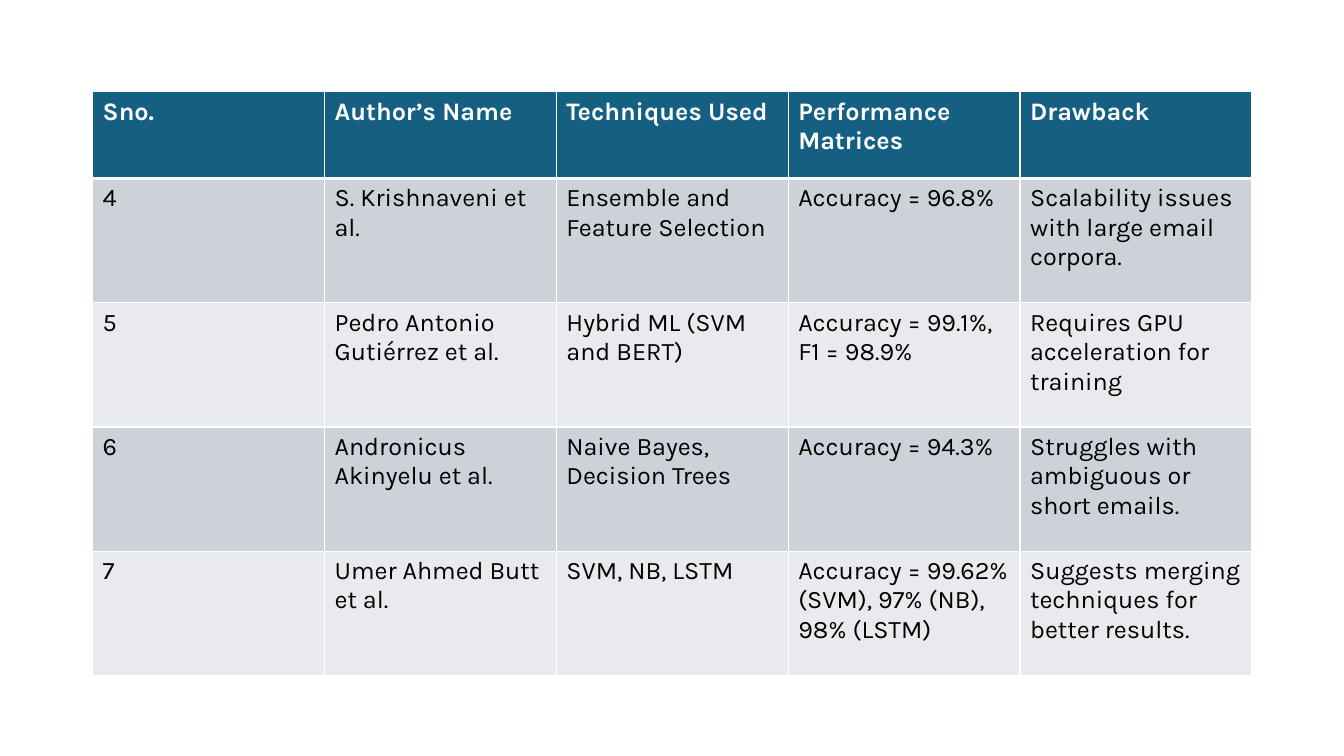
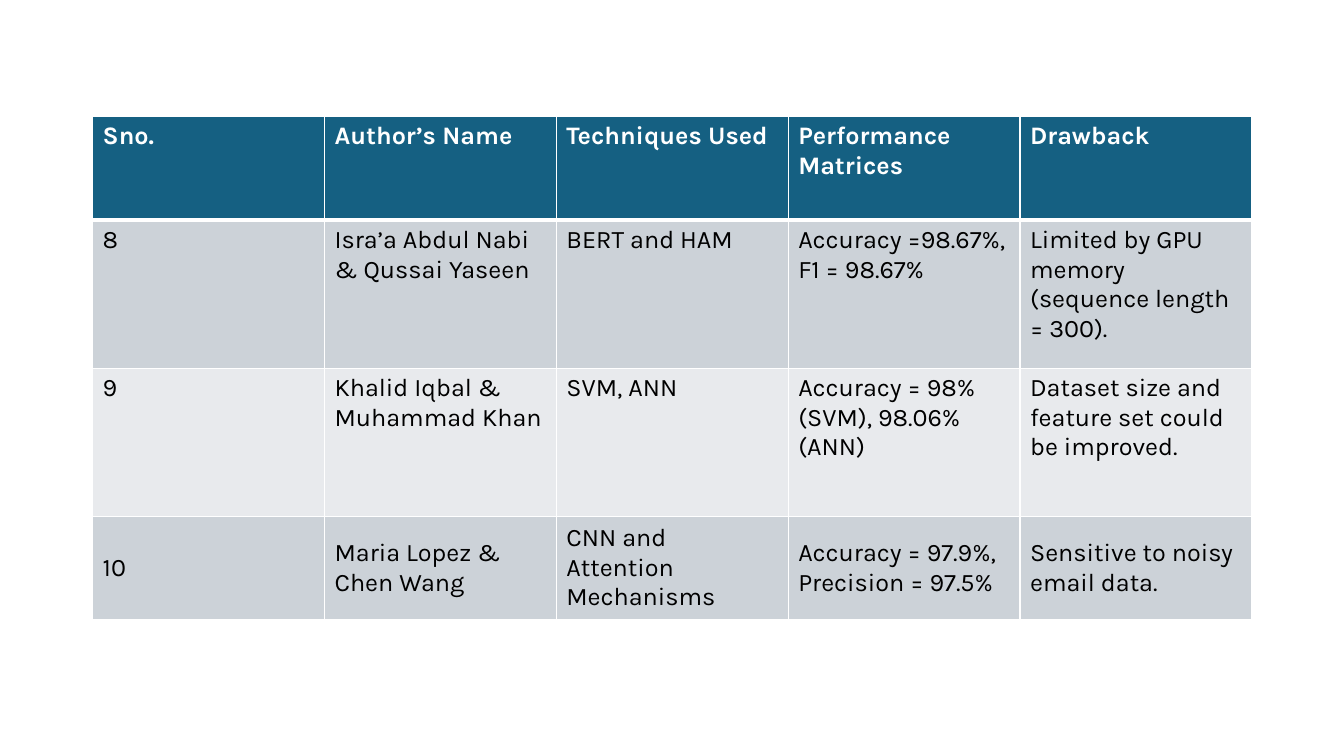
from lxml.etree import SubElement
from pptx import Presentation
from pptx.dml.color import RGBColor
from pptx.enum.text import MSO_ANCHOR as Anchor
from pptx.oxml.ns import qn
from pptx.util import Pt

COLORS = {
    "header": "156082",
    "odd_row": "CCD2D8",
    "even_row": "E8EAED",
    "white": "FFFFFF",
    "black": "000000",
}
HEADINGS = ["Sno.", "Author’s Name", "Techniques Used", "Performance Matrices", "Drawback"]


class SurveyDeck:
    font_name = "Karla"
    font_size = 18
    left = 66.2
    column_width = 165.6
    thin, thick = 1, 3

    def __init__(self):
        self.presentation = Presentation()
        self.presentation.slide_width = Pt(960)
        self.presentation.slide_height = Pt(540)
        self.slide = None

    def color(self, name):
        return RGBColor.from_string(COLORS[name])

    def add_slide(self):
        self.slide = self.presentation.slides.add_slide(self.presentation.slide_layouts[6])

    def border(self, cell, side, width):
        properties = cell._tc.get_or_add_tcPr()
        line = SubElement(properties, qn(f"a:ln{side}"), w=str(Pt(width)))
        fill = SubElement(line, qn("a:solidFill"))
        SubElement(fill, qn("a:srgbClr"), val=COLORS["white"])

    def cell(self, cell, text, row, anchor):
        is_header = row == 0
        for side in "LRTB":
            below_header = (row, side) in ((0, "B"), (1, "T"))
            self.border(cell, side, self.thick if below_header else self.thin)
        cell.fill.solid()
        shade = "header" if is_header else "odd_row" if row % 2 else "even_row"
        cell.fill.fore_color.rgb = self.color(shade)
        cell.vertical_anchor = anchor
        cell.text_frame.text = text
        font = cell.text_frame.paragraphs[0].runs[0].font
        font.name = self.font_name
        font.size = Pt(self.font_size)
        font.bold = is_header
        font.color.rgb = self.color("white" if is_header else "black")

    def survey_table(self, top, heights, studies, centered_rows=()):
        rows = [HEADINGS, *studies]
        columns = len(HEADINGS)
        table = self.slide.shapes.add_table(
            len(rows), columns, Pt(self.left), Pt(top),
            Pt(self.column_width * columns), Pt(sum(heights)),
        ).table
        for column in table.columns:
            column.width = Pt(self.column_width)
        for index, (height, texts) in enumerate(zip(heights, rows)):
            table.rows[index].height = Pt(height)
            anchor = Anchor.MIDDLE if index in centered_rows else Anchor.TOP
            for column, text in enumerate(texts):
                self.cell(table.cell(index, column), text, index, anchor)


def main():
    deck = SurveyDeck()

    deck.add_slide()
    deck.survey_table(65.6, [62] + [88.7] * 4, [
        ["4", "S. Krishnaveni et al.", "Ensemble and Feature Selection",
         "Accuracy = 96.8%", "Scalability issues with large email corpora."],
        ["5", "Pedro Antonio Gutiérrez et al.", "Hybrid ML (SVM and BERT)",
         "Accuracy = 99.1%, F1 = 98.9%", "Requires GPU acceleration for training"],
        ["6", "Andronicus Akinyelu et al.", "Naive Bayes, Decision Trees",
         "Accuracy = 94.3%", "Struggles with ambiguous or short emails."],
        ["7", "Umer Ahmed Butt et al.", "SVM, NB, LSTM",
         "Accuracy = 99.62% (SVM), 97% (NB), 98% (LSTM)",
         "Suggests merging techniques for better results."],
    ])

    deck.add_slide()
    deck.survey_table(83.4, [74, 105.7, 105.7, 74], [
        ["8", "Isra’a Abdul Nabi & Qussai Yaseen", "BERT and HAM",
         "Accuracy =98.67%, F1 = 98.67%", "Limited by GPU memory (sequence length = 300)."],
        ["9", "Khalid Iqbal & Muhammad Khan", "SVM, ANN",
         "Accuracy = 98% (SVM), 98.06% (ANN)", "Dataset size and feature set could be improved."],
        ["10", "Maria Lopez & Chen Wang", "CNN and Attention Mechanisms",
         "Accuracy = 97.9%, Precision = 97.5%", "Sensitive to noisy email data."],
    ], centered_rows=(3,))

    deck.presentation.save("out.pptx")


if __name__ == "__main__":
    main()
